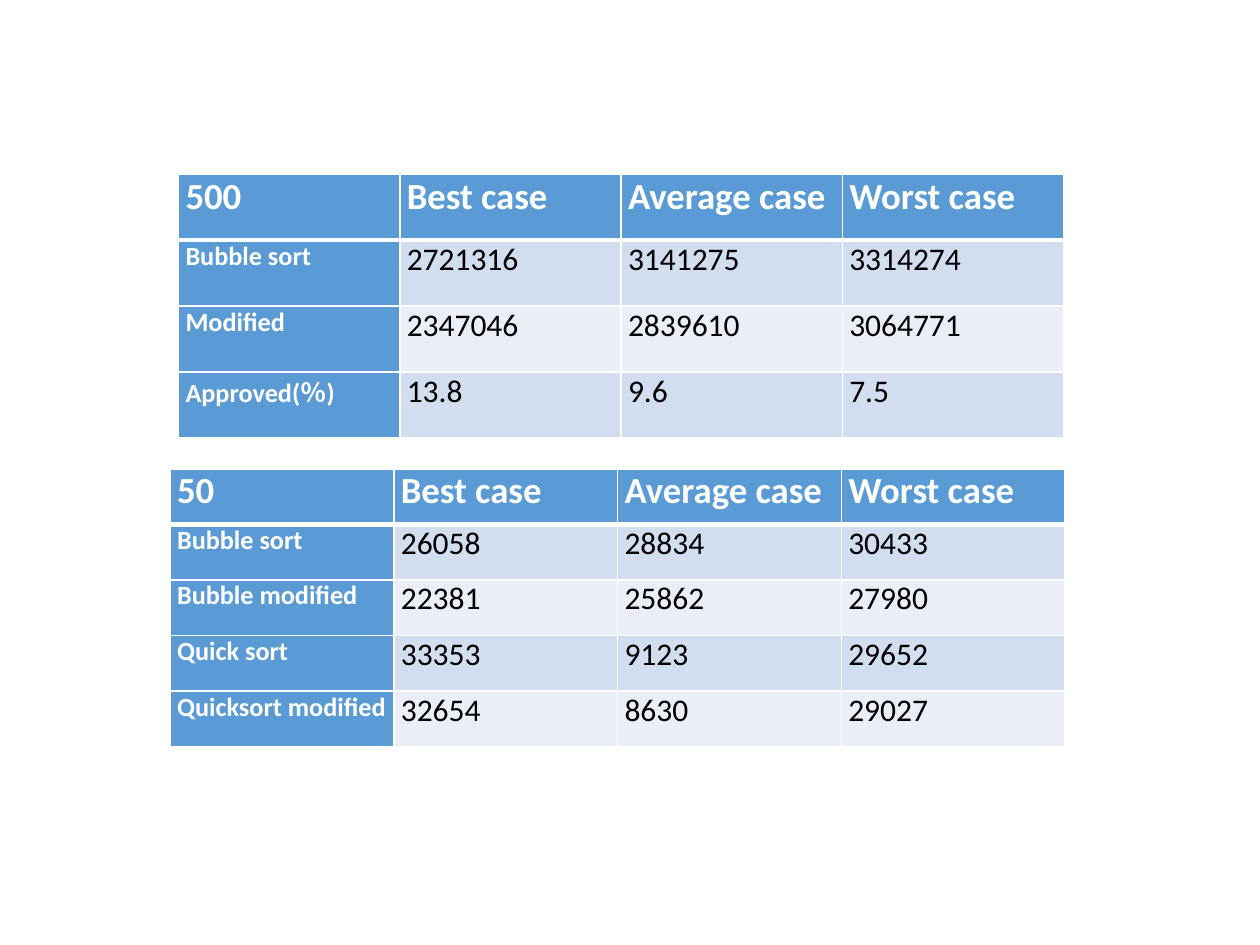
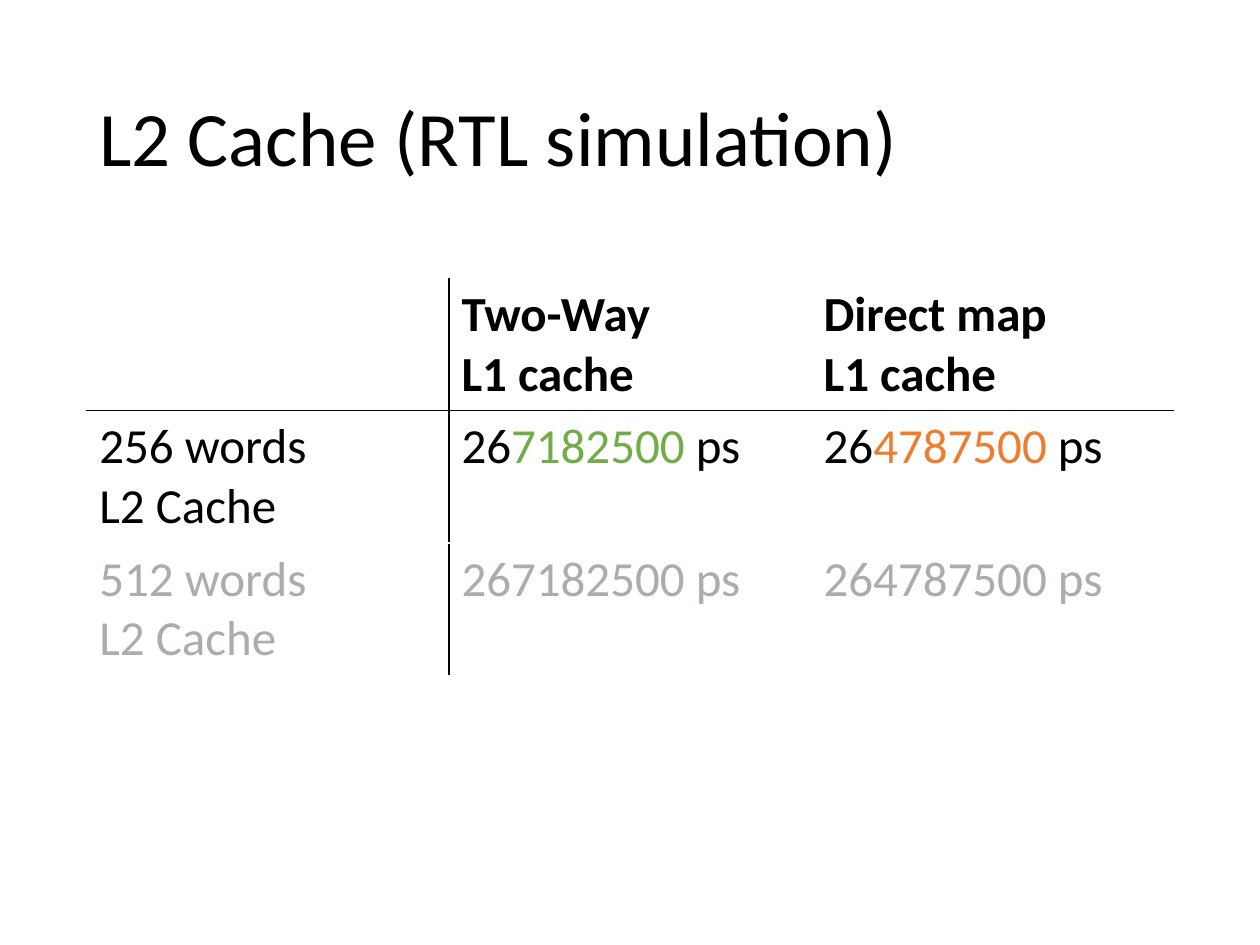
from dataclasses import dataclass

from lxml import etree
from pptx import Presentation
from pptx.dml.color import RGBColor
from pptx.enum.text import MSO_ANCHOR, PP_ALIGN
from pptx.oxml.ns import qn
from pptx.util import Cm, Pt

JUSTIFY = PP_ALIGN.JUSTIFY
LEFT = PP_ALIGN.LEFT
MIDDLE = MSO_ANCHOR.MIDDLE
BLANK_LAYOUT = 6


@dataclass(frozen=True)
class Theme:
    font: str = "Calibri"
    white: str = "FFFFFF"
    ink: str = "000000"
    header: str = "5B9BD5"
    bands: tuple = ("D2DEEF", "EAEFF7")
    muted: str = "AFABAB"
    green: str = "70AD47"
    orange: str = "ED7D31"
    title_size: int = 44
    cache_size: int = 28
    case_size: int = 21
    value_size: int = 18
    method_size: int = 15
    thin: int = 1
    thick: int = 3


def write(frame, text, *, font, size, color, bold=False, align=LEFT, spacing=None):
    lines = text if isinstance(text, list) else [[(line, color)] for line in text.split("\n")]
    for index, segments in enumerate(lines):
        paragraph = frame.add_paragraph() if index else frame.paragraphs[0]
        paragraph.alignment = align
        paragraph.line_spacing = spacing
        for words, tint in segments:
            run = paragraph.add_run()
            run.text = words
            run.font.name = font
            run.font.size = Pt(size)
            run.font.bold = bold
            run.font.color.rgb = RGBColor.from_string(tint)


def set_borders(cell, **edges):
    properties = cell._tc.get_or_add_tcPr()
    for position, side in enumerate("LRTB"):
        color, width = edges[side]
        line = etree.Element(qn(f"a:ln{side}"), w=str(Pt(width)))
        fill = etree.SubElement(line, qn("a:solidFill"))
        etree.SubElement(fill, qn("a:srgbClr"), val=color)
        properties.insert(position, line)


class Deck:
    def __init__(self, theme):
        self.theme = theme
        self.presentation = Presentation()
        self.presentation.slide_width = Cm(25.4)
        self.presentation.slide_height = Cm(19.05)
        self.slide = None

    def new_slide(self):
        layout = self.presentation.slide_layouts[BLANK_LAYOUT]
        self.slide = self.presentation.slides.add_slide(layout)

    def title(self, text):
        box = self.slide.shapes.add_textbox(Cm(1.75), Cm(1.02), Cm(21.9), Cm(3.68))
        frame = box.text_frame
        frame.word_wrap = True
        frame.vertical_anchor = MIDDLE
        write(frame, text, font=self.theme.font, size=self.theme.title_size,
              color=self.theme.ink, spacing=0.9)

    def cells(self, rows, left, top, column_width, row_height):
        columns = len(rows[0])
        table = self.slide.shapes.add_table(
            len(rows), columns, Cm(left), Cm(top),
            Cm(column_width * columns), Cm(row_height * len(rows))).table
        table.first_row = table.horz_banding = False
        for column in table.columns:
            column.width = Cm(column_width)
        for r, row in enumerate(rows):
            table.rows[r].height = Cm(row_height)
            for c, text in enumerate(row):
                yield r, c, text, table.cell(r, c)

    def fill(self, cell, color):
        cell.fill.solid()
        cell.fill.fore_color.rgb = RGBColor.from_string(color)

    def timing_table(self, rows, **place):
        theme = self.theme
        thin, thick = (theme.white, theme.thin), (theme.white, theme.thick)
        for r, c, text, cell in self.cells(rows, **place):
            heading = r == 0 or c == 0
            if r == 0:
                size = theme.case_size
            else:
                size = theme.method_size if c == 0 else theme.value_size
            self.fill(cell, theme.header if heading else theme.bands[(r - 1) % 2])
            set_borders(cell, L=thin, R=thin, T=thick if r == 1 else thin,
                        B=thick if r == 0 else thin)
            cell.margin_left = cell.margin_right = Cm(0.14)
            cell.margin_top = cell.margin_bottom = 0
            write(cell.text_frame, text, font=theme.font, size=size, bold=heading,
                  color=theme.white if heading else theme.ink, align=JUSTIFY)

    def cache_table(self, rows, muted_row, **place):
        theme = self.theme
        plain, rule = (theme.white, theme.thin), (theme.ink, theme.thin)
        for r, c, text, cell in self.cells(rows, **place):
            self.fill(cell, theme.white)
            set_borders(cell, L=rule if c == 1 else plain, R=rule if c == 0 else plain,
                        T=rule if r == 1 else plain, B=rule if r == 0 else plain)
            if text:
                write(cell.text_frame, text, font=theme.font, size=theme.cache_size,
                      color=theme.muted if r == muted_row else theme.ink, bold=r == 0)


def main():
    theme = Theme()
    deck = Deck(theme)
    cases = ["Best case", "Average case", "Worst case"]

    deck.new_slide()
    deck.timing_table([
        ["500", *cases],
        ["Bubble sort", "2721316", "3141275", "3314274"],
        ["Modified", "2347046", "2839610", "3064771"],
        ["Approved(％)", "13.8", "9.6", "7.5"],
    ], left=3.6, top=3.51, column_width=4.46, row_height=1.33)
    deck.timing_table([
        ["50", *cases],
        ["Bubble sort", "26058", "28834", "30433"],
        ["Bubble modified", "22381", "25862", "27980"],
        ["Quick sort", "33353", "9123", "29652"],
        ["Quicksort modified", "32654", "8630", "29027"],
    ], left=3.43, top=9.45, column_width=4.51, row_height=1.12)

    def picoseconds(digits, color):
        return [[("26", theme.ink), (f"{digits} ", color), ("ps", theme.ink)]]

    deck.new_slide()
    deck.title("L2 Cache (RTL simulation)")
    deck.cache_table([
        ["", "Two-Way\nL1 cache", "Direct map\nL1 cache"],
        ["256 words\nL2 Cache", picoseconds("7182500", theme.green),
         picoseconds("4787500", theme.orange)],
        ["512 words\nL2 Cache", "267182500 ps", "264787500 ps"],
    ], muted_row=2, left=1.75, top=5.61, column_width=7.3, row_height=2.67)

    deck.presentation.save("out.pptx")


if __name__ == "__main__":
    main()
